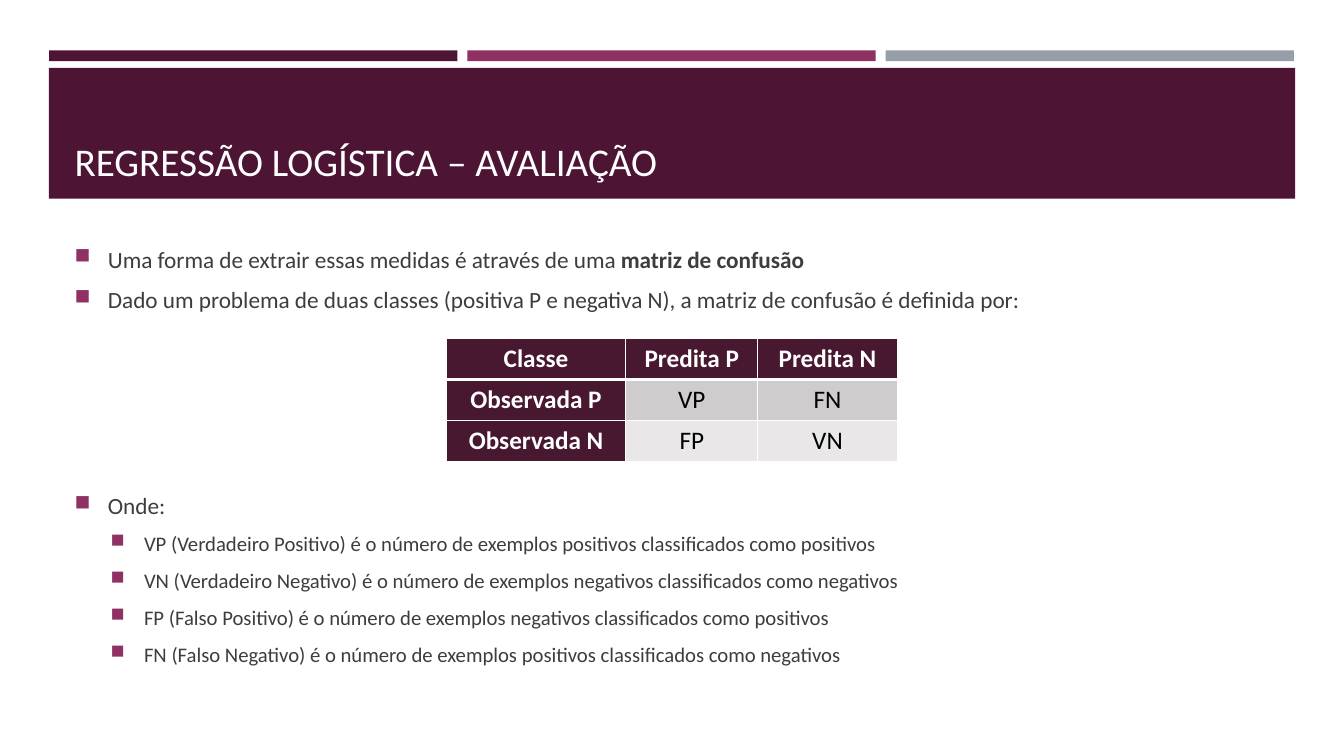
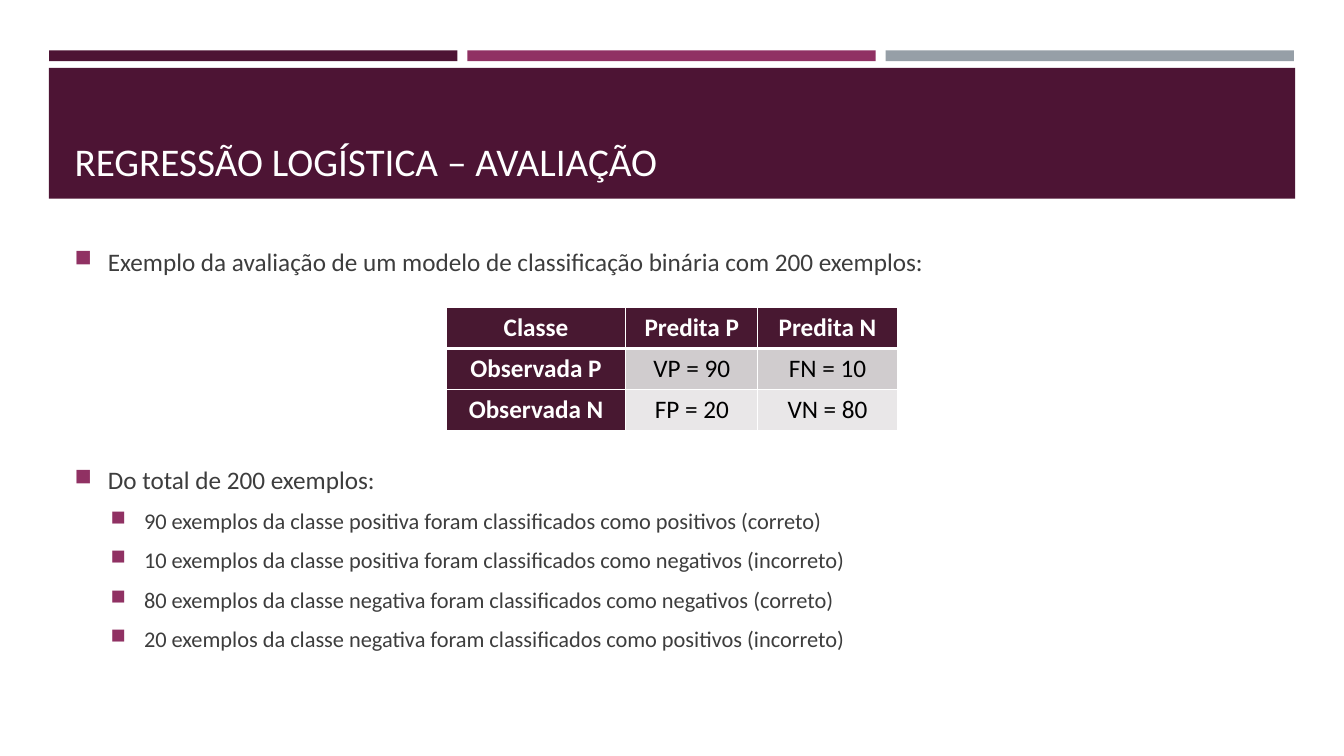
from dataclasses import dataclass

from lxml.etree import SubElement
from pptx import Presentation
from pptx.dml.color import RGBColor
from pptx.enum.shapes import MSO_SHAPE
from pptx.enum.text import MSO_ANCHOR, PP_ALIGN
from pptx.oxml.ns import qn
from pptx.util import Cm, Pt


@dataclass(frozen=True)
class Theme:
    font: str = "Calibri"
    plum: str = "4D1434"
    berry: str = "903163"
    steel: str = "969FA7"
    white: str = "FFFFFF"
    black: str = "000000"
    text: str = "3D3D3D"
    table_dark: str = "481831"
    table_rows: tuple = ("D0CCCE", "E9E7E8")
    title_size: float = 28
    table_size: float = 18


THEME = Theme()


def add_span(para, text, *, size, color, bold=False):
    """Append a formatted run to a paragraph."""
    span = para.add_run()
    span.text = text
    span.font.name = THEME.font
    span.font.size = Pt(size)
    span.font.bold = bold
    span.font.color.rgb = RGBColor.from_string(color)


def set_bullet(para, level):
    """Give a paragraph a square bullet with a hanging indent."""
    props = para._p.get_or_add_pPr()
    hanging = Cm(0.84)
    props.set("marL", str(hanging + level * Cm(0.91)))
    props.set("indent", str(-hanging))
    color = SubElement(props, qn("a:buClr"))
    SubElement(color, qn("a:srgbClr"), val=THEME.berry)
    SubElement(props, qn("a:buSzPct"), val="92000")
    SubElement(props, qn("a:buChar"), char="■")


def set_borders(cell, **widths):
    """Draw white cell borders; widths maps side tags to points."""
    props = cell._tc.get_or_add_tcPr()
    for side in ("lnL", "lnR", "lnT", "lnB"):
        line = SubElement(props, qn(f"a:{side}"), w=str(Pt(widths.get(side, 1))))
        fill = SubElement(line, qn("a:solidFill"))
        SubElement(fill, qn("a:srgbClr"), val=THEME.white)


class Slides:
    def __init__(self):
        self.deck = Presentation()
        self.deck.slide_width, self.deck.slide_height = Cm(33.87), Cm(19.05)
        self.page = None

    def rectangle(self, left, top, width, height, color):
        shape = self.page.shapes.add_shape(
            MSO_SHAPE.RECTANGLE, Cm(left), Cm(top), Cm(width), Cm(height))
        shape.shadow.inherit = False
        shape.fill.solid()
        shape.fill.fore_color.rgb = RGBColor.from_string(color)
        shape.line.fill.background()

    def text_box(self, top, height, anchor=MSO_ANCHOR.TOP):
        box = self.page.shapes.add_textbox(Cm(1.63), Cm(top), Cm(30.63), Cm(height))
        frame = box.text_frame
        frame.word_wrap = True
        frame.vertical_anchor = anchor
        return frame

    def new_page(self, title):
        self.page = self.deck.slides.add_slide(self.deck.slide_layouts[6])
        # Three thin bars above the title band
        width, gap = 10.29, 0.25
        for index, color in enumerate((THEME.plum, THEME.berry, THEME.steel)):
            self.rectangle(1.24 + index * (width + gap), 1.27, width, 0.27, color)
        # Title band
        self.rectangle(1.23, 1.71, 31.41, 3.3, THEME.plum)
        para = self.text_box(1.96, 2.82, MSO_ANCHOR.BOTTOM).paragraphs[0]
        add_span(para, title, size=THEME.title_size, color=THEME.white)

    def bullets(self, top, height, items, sizes):
        """Each item is (level, text, optional bold ending)."""
        frame = self.text_box(top, height)
        for index, (level, text, *strong) in enumerate(items):
            para = frame.paragraphs[0] if index == 0 else frame.add_paragraph()
            size = sizes[level]
            para.space_before = Pt(0.18 * size)
            para.space_after = Pt(6)
            set_bullet(para, level)
            add_span(para, text, size=size, color=THEME.text)
            for ending in strong:
                add_span(para, ending, size=size, color=THEME.text, bold=True)

    def confusion_matrix(self, top, counts):
        rows = [("Classe", "Predita P", "Predita N"),
                ("Observada P", *counts[0]),
                ("Observada N", *counts[1])]
        widths, row_height = (4.52, 3.33, 3.51), 1.03
        table = self.page.shapes.add_table(
            len(rows), len(widths), Cm(11.25), Cm(top),
            Cm(sum(widths)), Cm(row_height * len(rows))).table
        table.horz_banding = False
        for column, width in zip(table.columns, widths):
            column.width = Cm(width)
        for r, texts in enumerate(rows):
            table.rows[r].height = Cm(row_height)
            for c, text in enumerate(texts):
                cell = table.cell(r, c)
                heading = r == 0 or c == 0
                set_borders(cell, lnT=3 if r == 1 else 1, lnB=3 if r == 0 else 1)
                cell.fill.solid()
                cell.fill.fore_color.rgb = RGBColor.from_string(
                    THEME.table_dark if heading else THEME.table_rows[r - 1])
                para = cell.text_frame.paragraphs[0]
                para.alignment = PP_ALIGN.CENTER
                add_span(para, text, size=THEME.table_size, bold=heading,
                         color=THEME.white if heading else THEME.black)


def main():
    slides = Slides()
    title = "REGRESSÃO LOGÍSTICA – AVALIAÇÃO"

    # Definition of the confusion matrix
    sizes = (16.6, 14.8)
    slides.new_page(title)
    slides.bullets(6.05, 2.2, [
        (0, "Uma forma de extrair essas medidas é através de uma ", "matriz de confusão"),
        (0, "Dado um problema de duas classes (positiva P e negativa N), "
            "a matriz de confusão é definida por:"),
    ], sizes)
    slides.confusion_matrix(8.53, [("VP", "FN"), ("FP", "VN")])
    slides.bullets(12.25, 5, [
        (0, "Onde:"),
        (1, "VP (Verdadeiro Positivo) é o número de exemplos positivos classificados como positivos"),
        (1, "VN (Verdadeiro Negativo) é o número de exemplos negativos classificados como negativos"),
        (1, "FP (Falso Positivo) é o número de exemplos negativos classificados como positivos"),
        (1, "FN (Falso Negativo) é o número de exemplos positivos classificados como negativos"),
    ], sizes)

    # Example with 200 cases
    sizes = (18, 16)
    slides.new_page(title)
    slides.bullets(6.07, 1.2, [
        (0, "Exemplo da avaliação de um modelo de classificação binária com 200 exemplos:"),
    ], sizes)
    slides.confusion_matrix(7.75, [("VP = 90", "FN = 10"), ("FP = 20", "VN = 80")])
    slides.bullets(11.58, 5.3, [
        (0, "Do total de 200 exemplos:"),
        (1, "90 exemplos da classe positiva foram classificados como positivos (correto)"),
        (1, "10 exemplos da classe positiva foram classificados como negativos (incorreto)"),
        (1, "80 exemplos da classe negativa foram classificados como negativos (correto)"),
        (1, "20 exemplos da classe negativa foram classificados como positivos (incorreto)"),
    ], sizes)

    slides.deck.save("out.pptx")


if __name__ == "__main__":
    main()
